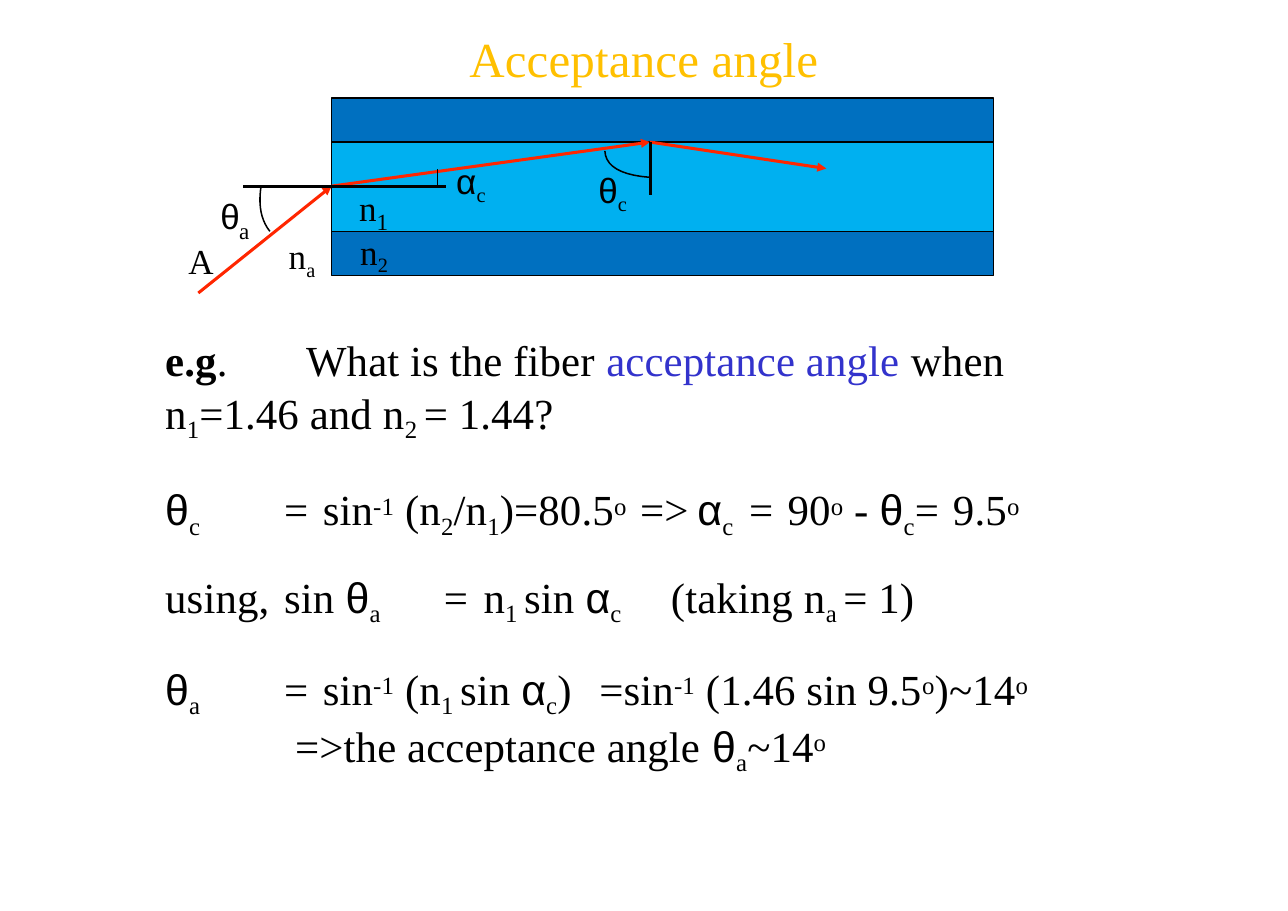
import dataclasses

import pptx
import pptx.dml.color
import pptx.enum.shapes
import pptx.enum.text
import pptx.oxml
import pptx.oxml.ns
import pptx.util

Inches = pptx.util.Inches
Pt = pptx.util.Pt


@dataclasses.dataclass(frozen=True)
class Theme:
    """Hold the colours, fonts and sizes of the slide."""
    gold: str = "FFC000"
    dark: str = "0070C0"
    light: str = "00B0F0"
    red: str = "FF2600"
    black: str = "000000"
    blue: str = "3333CC"
    serif: str = "Times New Roman"
    greek: str = "Arial"
    title: float = 32
    body: float = 28
    label: float = 22.9
    small: float = 15.1
    thin: float = 1
    thick: float = 1.98


THEME = Theme()


def rgb(code):
    """Turn a hex code into a colour."""
    return pptx.dml.color.RGBColor.from_string(code)


def add_child(parent, tag, **attrs):
    """Append a drawing element with attributes."""
    child = pptx.oxml.parse_xml(f"<a:{tag} {pptx.oxml.ns.nsdecls('a')}/>")
    for key, value in attrs.items():
        child.set(key, str(value))
    parent.append(child)
    return child


def write(para, text, size, color):
    """Write bar-separated runs: _ lowers, ^ raises, * is bold, @ is blue."""
    for part in text.split("|"):
        if part == "\v":
            para.add_line_break()
            continue
        mark = part[0] if part[0] in "_^*@" else ""
        run = para.add_run()
        run.text = part[len(mark):]
        font = run.font
        font.size = Pt(size)
        font.name = THEME.greek if run.text in ("θ", "α") else THEME.serif
        font.bold = mark == "*"
        font.color.rgb = rgb(THEME.blue if mark == "@" else color)
        props = run._r.get_or_add_rPr()
        props.set("spc", "10")
        if mark in ("_", "^") and mark:
            props.set("baseline", "-22000" if mark == "_" else "25000")


def add_box(slide, left, top, width, height, inset=0.01, head=0.04):
    """Add a wrapping text box and return its frame."""
    box = slide.shapes.add_textbox(*map(Inches, (left, top, width, height)))
    frame = box.text_frame
    frame.word_wrap = True
    frame.vertical_anchor = pptx.enum.text.MSO_ANCHOR.TOP
    frame.margin_left, frame.margin_top = Inches(inset), Inches(head)
    frame.margin_right = frame.margin_bottom = 0
    return frame


def add_label(slide, text, left, top, width, height, size, inset=0.01, color=THEME.black):
    """Add a one-line label."""
    frame = add_box(slide, left, top, width, height, inset)
    write(frame.paragraphs[0], text, size, color)


def add_block(slide, left, top, width, height, fill):
    """Add a filled rectangle with a thin black line."""
    kind = pptx.enum.shapes.MSO_SHAPE.RECTANGLE
    block = slide.shapes.add_shape(kind, *map(Inches, (left, top, width, height)))
    block.shadow.inherit = False
    block.fill.solid()
    block.fill.fore_color.rgb = rgb(fill)
    block.line.color.rgb = rgb(THEME.black)
    block.line.width = Pt(THEME.thin)


def add_line(slide, start, end, color=THEME.black, width=THEME.thick, arrow=False):
    """Add a straight line, with an arrowhead if wanted."""
    kind = pptx.enum.shapes.MSO_CONNECTOR.STRAIGHT
    line = slide.shapes.add_connector(kind, *map(Inches, (*start, *end)))
    line.line.color.rgb = rgb(color)
    line.line.width = Pt(width)
    if arrow:
        add_child(line.line._get_or_add_ln(), "tailEnd", type="triangle")
    add_child(line._element.spPr, "effectLst")


def add_arc(slide, start, bend, end, steps=10):
    """Add a curve drawn from start to end towards a bend point."""
    points = []
    for step in range(steps + 1):
        t = step / steps
        points.append([
            Inches((1 - t) ** 2 * a + 2 * t * (1 - t) * b + t * t * c)
            for a, b, c in zip(start, bend, end)
        ])
    maker = slide.shapes.build_freeform(*points[0])
    maker.add_line_segments(points[1:], close=False)
    arc = maker.convert_to_shape()
    arc.shadow.inherit = False
    arc.fill.background()
    arc.line.color.rgb = rgb(THEME.black)
    arc.line.width = Pt(THEME.thin)


def add_body(slide):
    """Add the worked example with its tab stops."""
    rows = [
        ("*e.g|.\tWhat is the fiber |@acceptance angle |when n|_1|=1.46 and n|_2 |= 1.44?",
         1.02, 0, [1.28]),
        ("θ|_c\t|=\tsin|^-1| (n|_2|/n|_1|)=80.5|^o\t|=>\t|α|_c\t|=\t90|^o| - |θ|_c|=\t9.5|^o|\v|"
         "using,\tsin |θ|_a\t|=\tn|_1 |sin |α|_c\t\t|(taking n|_a |= 1)",
         Pt(57.4), 5.8, [1.08, 1.43, 2.53, 2.89, 4.31, 4.59, 4.83, 5.3, 5.65, 7.15]),
        ("θ|_a\t|=\tsin|^-1| (n|_1 |sin |α|_c|)\t=sin|^-1| (1.46 sin 9.5|^o|)~14|^o",
         1.0, 22.4, [1.08, 1.43, 3.59, 3.94]),
        ("\t=>the acceptance angle |θ|_a|~14|^o", 1.0, 0, [1.18]),
    ]
    frame = add_box(slide, 0.9, 3.01, 10.37, 3.91, 0.6, 0.01)
    frame.margin_right = Inches(1.5)
    for index, (text, pitch, before, stops) in enumerate(rows):
        para = frame.add_paragraph() if index else frame.paragraphs[0]
        para.line_spacing = pitch
        if before:
            para.space_before = Pt(before)
        tabs = add_child(para._p.get_or_add_pPr(), "tabLst")
        for stop in stops:
            add_child(tabs, "tab", pos=Inches(stop), algn="l")
        write(para, text, THEME.body, THEME.black)


def add_fiber(slide):
    """Add the fiber, its rays, angles and labels."""
    left, axis, wall = 3.01, 1.69, 1.29
    add_block(slide, left, 0.89, 6.01, 1.61, THEME.dark)
    add_block(slide, left, wall, 6.01, 0.81, THEME.light)
    route = [(1.8, 2.66), (left, axis), (5.9, wall), (7.5, 1.53)]
    for start, end in zip(route, route[1:]):
        add_line(slide, start, end, THEME.red, arrow=True)
    add_line(slide, (5.9, wall), (5.9, 1.77))
    add_line(slide, (2.21, axis), (4.05, axis))
    add_line(slide, (3.97, axis), (3.97, 1.53), width=THEME.thin)
    add_arc(slide, (5.49, 1.37), (5.5, 1.58), (5.9, 1.61))
    add_arc(slide, (2.37, axis), (2.33, 1.95), (2.45, 2.1))
    for text, x, y, width, inset in [
        ("θ", 1.99, 1.73, 0.19, 0.01),
        ("n|_a", 2.58, 2.09, 0.34, 0.04),
        ("A", 1.7, 2.13, 0.26, 0.01),
        ("θ|_c", 5.39, 1.49, 0.34, 0.04),
        ("α|_c", 4.1, 1.41, 0.38, 0.04),
        ("n", 3.25, 1.65, 0.19, 0.01),
        ("n|_2", 3.24, 2.05, 0.34, 0.03),
    ]:
        add_label(slide, text, x, y, width, 0.4, THEME.label, inset)
    for text, x, y in [("a", 2.16, 1.92), ("1", 3.41, 1.84)]:
        add_label(slide, text, x, y, 0.13, 0.27, THEME.small)


def main():
    """Build the slide and save it."""
    deck = pptx.Presentation()
    deck.slide_width, deck.slide_height = Inches(11.69), Inches(8.27)
    slide = deck.slides.add_slide(deck.slide_layouts[6])
    add_label(slide, "Acceptance angle", 4.25, 0.22, 3.68, 0.55, THEME.title, color=THEME.gold)
    add_fiber(slide)
    add_body(slide)
    deck.save("out.pptx")


if __name__ == "__main__":
    main()
